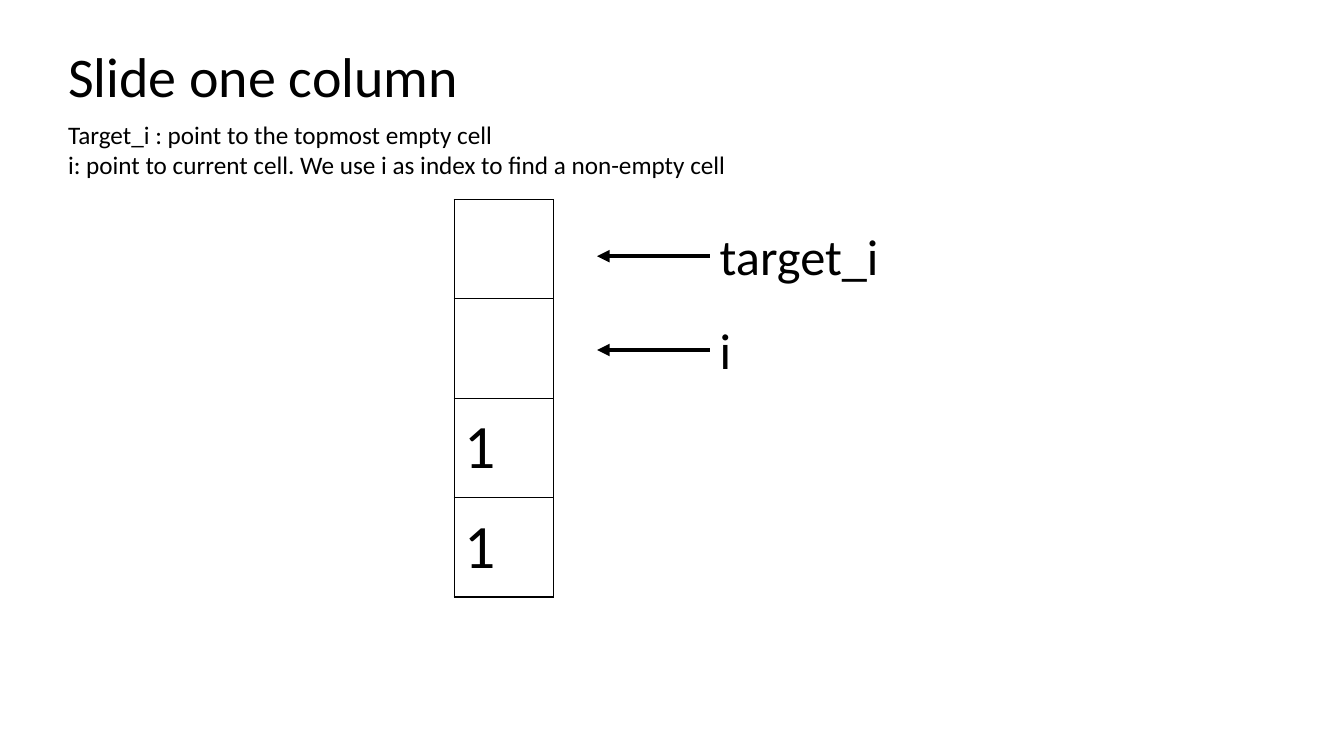
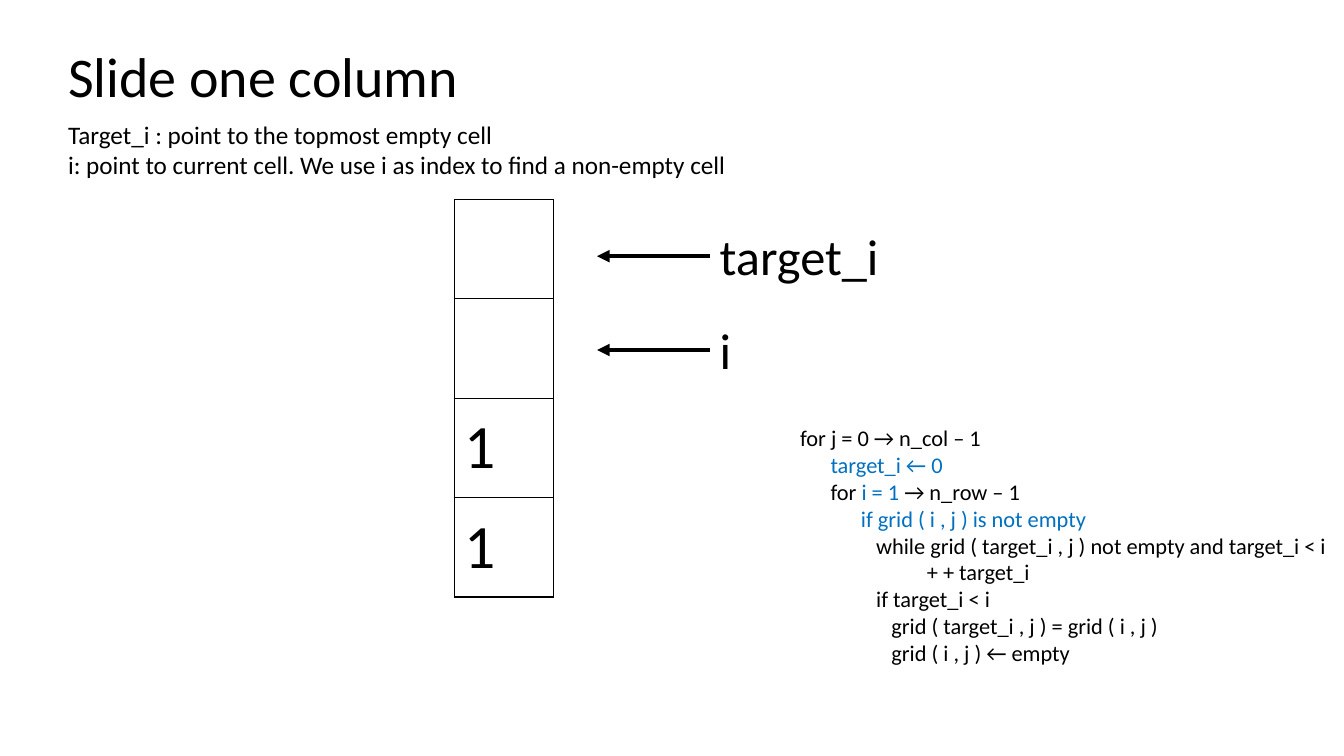
"""Build two slides that explain sliding one column of a grid."""
from dataclasses import dataclass

import lxml.etree
import pptx
import pptx.dml.color
import pptx.enum.shapes
import pptx.enum.text
import pptx.oxml
import pptx.oxml.ns
import pptx.util

Pt = pptx.util.Pt
RGB = pptx.dml.color.RGBColor
PP_ALIGN = pptx.enum.text.PP_ALIGN
MSO_ANCHOR = pptx.enum.text.MSO_ANCHOR
qn = pptx.oxml.ns.qn


@dataclass(frozen=True)
class Theme:
    """Colours, type sizes and line widths shared by the slides."""
    font: str = "Calibri"
    ink: RGB = RGB(0x00, 0x00, 0x00)
    accent: RGB = RGB(0x00, 0x70, 0xC0)
    title: int = 40
    intro: int = 18
    cell: int = 44
    label: int = 36
    code: int = 16
    border: float = 1
    arrow: float = 3
    code_indent: float = 3.62


THEME = Theme()
TITLE = "Slide one column"
INTRO = [
    "Target_i : point to the topmost empty cell",
    "i: point to current cell. We use i as index to find a non-empty cell",
]
CELLS = ["", "", "1", "1"]
POINTERS = ["target_i", "i"]
PLAIN, MARKED = THEME.ink, THEME.accent
CODE = [
    (0, [("for j = 0 → n_col – 1", PLAIN)]),
    (6, [("target_i ← 0", MARKED)]),
    (6, [("for ", PLAIN), ("i = 1 ", MARKED), ("→ n_row – 1", PLAIN)]),
    (12, [("if grid ( i , j ) is not empty", MARKED)]),
    (15, [("while grid ( target_i , j ) not empty and target_i < i", PLAIN)]),
    (25, [("+ + target_i", PLAIN)]),
    (15, [("if target_i < i", PLAIN)]),
    (18, [("grid ( target_i , j ) = grid ( i , j )", PLAIN)]),
    (18, [("grid ( i , j ) ← empty", PLAIN)]),
]


def style(p, size, align=PP_ALIGN.LEFT):
    """Give a paragraph the shared font, ink colour and alignment."""
    p.alignment = align
    p.font.name = THEME.font
    p.font.size = Pt(size)
    p.font.color.rgb = THEME.ink


def add_text(s, box, lines, size):
    """Add a wrapping text box with one paragraph per line."""
    sp = s.shapes.add_textbox(*map(Pt, box))
    tf = sp.text_frame
    tf.word_wrap = True
    tf.text = "\n".join(lines)
    for p in tf.paragraphs:
        style(p, size)
    return sp


def add_heading(s, box):
    """Place the title and the two-line introduction below it."""
    x, y, w, h = box
    title_h = 55.5
    sp = s.shapes.title
    sp.left, sp.top, sp.width, sp.height = map(Pt, (x, y, w, title_h))
    tf = sp.text_frame
    tf.text = TITLE
    tf.vertical_anchor = MSO_ANCHOR.TOP
    style(tf.paragraphs[0], THEME.title)
    add_text(s, (x, y + title_h, w, h - title_h), INTRO, THEME.intro)


def add_borders(cell):
    """Draw a thin line on all four sides of a table cell."""
    tc_pr = cell._tc.get_or_add_tcPr()
    for side in ("lnL", "lnR", "lnT", "lnB"):
        ln = lxml.etree.SubElement(tc_pr, qn(f"a:{side}"), w=str(Pt(THEME.border)))
        fill = lxml.etree.SubElement(ln, qn("a:solidFill"))
        lxml.etree.SubElement(fill, qn("a:srgbClr"), val=str(THEME.ink))


def add_column(s, box):
    """Place the grid column as a table of equal cells."""
    x, y, w, h = box
    table = s.shapes.add_table(len(CELLS), 1, Pt(x), Pt(y), Pt(w), Pt(h)).table
    table.first_row = table.horz_banding = False
    table.columns[0].width = Pt(w)
    for row, text in zip(table.rows, CELLS):
        row.height = Pt(h / len(CELLS))
        cell = row.cells[0]
        add_borders(cell)
        cell.fill.background()
        cell.vertical_anchor = MSO_ANCHOR.MIDDLE
        if text:
            cell.text = text
            style(cell.text_frame.paragraphs[0], THEME.cell, PP_ALIGN.JUSTIFY)


def add_pointer(s, box, text):
    """Place a label with an arrow that leads left from it."""
    x, y, w, h = box
    arrow_w = 80.5
    label = add_text(s, (x + arrow_w, y, w - arrow_w, h), [text], THEME.label)
    mid = Pt(y + h / 2)
    arrow = s.shapes.add_connector(
        pptx.enum.shapes.MSO_CONNECTOR.STRAIGHT, Pt(x + arrow_w), mid, Pt(x), mid)
    arrow.begin_connect(label, 1)
    arrow.line.color.rgb = THEME.ink
    arrow.line.width = Pt(THEME.arrow)
    lxml.etree.SubElement(arrow.line._get_or_add_ln(), qn("a:tailEnd"), type="triangle")
    lxml.etree.SubElement(arrow._element.spPr, qn("a:effectLst"))


def add_pointers(s, box):
    """Place the pointers one below the other at an equal step."""
    x, y, w, h = box
    label_h = 51
    step = (h - label_h) / (len(POINTERS) - 1)
    for i, text in enumerate(POINTERS):
        add_pointer(s, (x, y + i * step, w, label_h), text)


def add_code(s, box):
    """Place the pseudocode with indents and marked parts."""
    tf = add_text(s, box, [""] * len(CODE), THEME.code).text_frame
    for p, (indent, parts) in zip(tf.paragraphs, CODE):
        p._p.get_or_add_pPr().set("marL", str(Pt(indent * THEME.code_indent)))
        for text, color in parts:
            r = p.add_run()
            r.text = text
            r.font.color.rgb = color


def add_column_slide(prs, with_code):
    """Add one slide with the column, its pointers and optional code."""
    s = prs.slides.add_slide(prs.slide_layouts[5])
    add_heading(s, (41.5, 26, 567, 106.5))
    add_column(s, (324.5, 142.5, 71, 284))
    add_pointers(s, (426.5, 157.5, 414, 118))
    if with_code:
        add_code(s, (564.5, 299.5, 395.5, 181.5))


def main():
    """Build and save the presentation."""
    prs = pptx.Presentation()
    prs.slide_width, prs.slide_height = Pt(960), Pt(540)
    for with_code in (False, True):
        add_column_slide(prs, with_code)
    prs.save("out.pptx")


if __name__ == "__main__":
    main()
